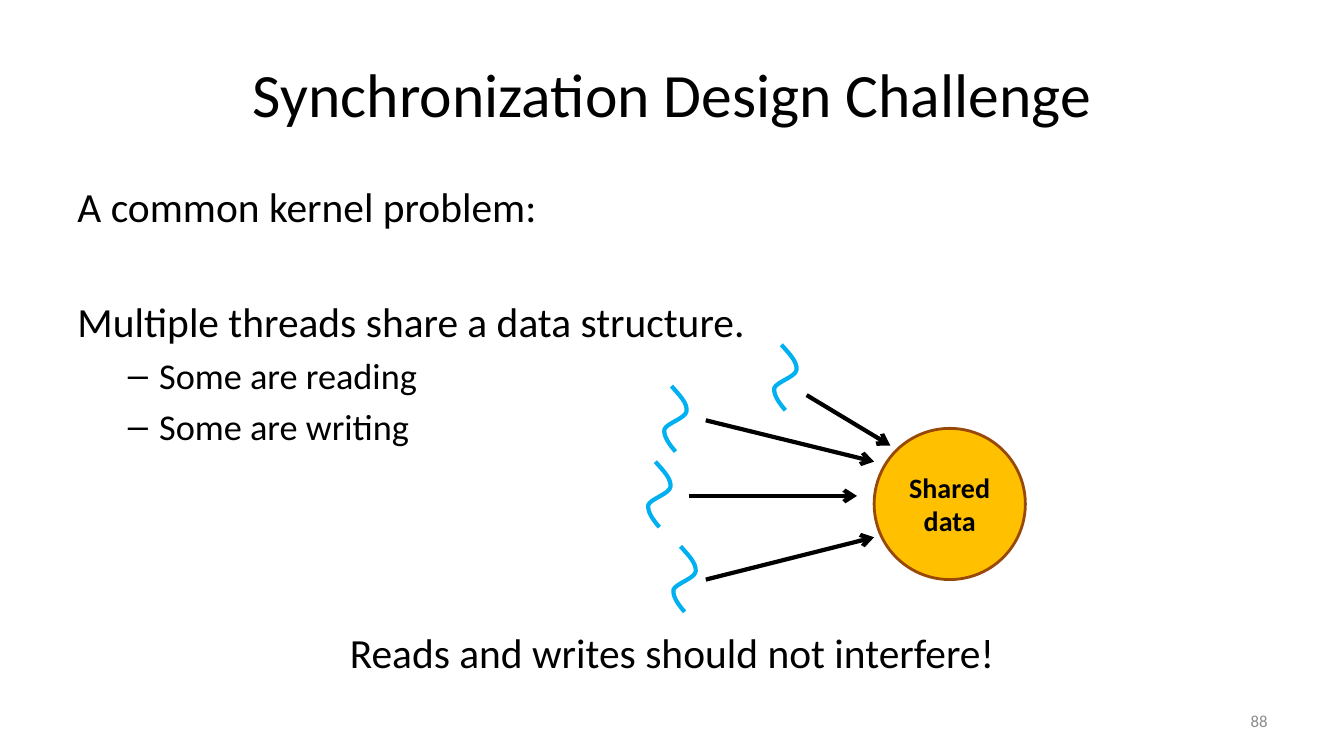
from pptx import Presentation
from pptx import util as u
from pptx.dml.color import RGBColor
from pptx.enum import shapes, text
from pptx.oxml import ns
from lxml import etree

PX = 9144
SQUIGGLE = [(8, 0), (16, 9), (24, 17), (23, 25), (22, 32),
            (3, 37), (1, 43), (0, 50), (6, 58), (12, 65)]
THREADS = [
    ((667, 542), (700, 575), (867, 533)),
    ((642, 458), (683, 492), (850, 492)),
    ((658, 383), (700, 417), (867, 458)),
    ((767, 342), (800, 392), (883, 442)),
]
BODY = [
    ("A common kernel problem:", 29.6, 0, "plain"),
    ("Multiple threads share a data structure.", 29.6, 46.6, "plain"),
    ("Some are reading", 25.9, 5.2, "dash"),
    ("Some are writing", 25.9, 5.2, "dash"),
    ("Reads and writes should not interfere!", 29.6, 128.4, "center"),
]


def px(length):
    """Turn px into EMU."""
    return u.Emu(length * PX)


def color(value):
    """Turn a hex string into a colour."""
    return RGBColor.from_string(value)


def add_run(paragraph, words, size, ink="000000", bold=False):
    """Add one run of styled text."""
    run = paragraph.add_run()
    run.text = words
    run.font.name = "Calibri"
    run.font.size = u.Pt(size)
    run.font.bold = bold
    run.font.color.rgb = color(ink)


def add_frame(slide, box, anchor):
    """Add a wrapping text box and return its frame."""
    frame = slide.shapes.add_textbox(*map(px, box)).text_frame
    frame.word_wrap = True
    frame.vertical_anchor = anchor
    return frame


def add_line_of_text(slide, box, words, size, ink, align):
    """Add a box holding one vertically centred line."""
    paragraph = add_frame(slide, box, text.MSO_ANCHOR.MIDDLE).paragraphs[0]
    paragraph.alignment = align
    add_run(paragraph, words, size, ink)


def add_dash(paragraph):
    """Give a paragraph a hanging dash bullet."""
    properties = paragraph._p.get_or_add_pPr()
    properties.set("marL", str(px(81)))
    properties.set("indent", str(px(-31)))
    properties.set("lvl", "1")
    etree.SubElement(properties, ns.qn("a:buFont")).set("typeface", "Arial")
    etree.SubElement(properties, ns.qn("a:buChar")).set("char", "–")


def add_body(slide, box):
    """Add the problem statement and its conclusion."""
    frame = add_frame(slide, box, text.MSO_ANCHOR.TOP)
    for index, (words, size, gap, style) in enumerate(BODY):
        paragraph = frame.add_paragraph() if index else frame.paragraphs[0]
        paragraph.space_before = u.Pt(gap)
        if style == "center":
            paragraph.alignment = text.PP_ALIGN.CENTER
        if style == "dash":
            add_dash(paragraph)
        add_run(paragraph, words, size)


def add_squiggle(slide, left, top):
    """Add a thread drawn as three joined Bezier curves."""
    points = [(left + x, top + y) for x, y in SQUIGGLE]
    builder = slide.shapes.build_freeform(*points[0], scale=float(PX))
    builder.add_line_segments(points[1:], close=False)
    shape = builder.convert_to_shape()
    shape.shadow.inherit = False
    shape.fill.background()
    shape.line.color.rgb = color("00B0F0")
    shape.line.width = u.Pt(3)
    segments = list(shape._element.iter(ns.qn("a:lnTo")))
    for start in range(0, len(segments), 3):
        first, *others = segments[start:start + 3]
        curve = etree.Element(ns.qn("a:cubicBezTo"))
        first.addprevious(curve)
        for segment in (first, *others):
            curve.append(segment[0])
            segment.getparent().remove(segment)


def add_arrow(slide, start, end):
    """Add a black arrow with an open head."""
    arrow = slide.shapes.add_connector(
        shapes.MSO_CONNECTOR.STRAIGHT, *map(px, start + end))
    arrow.line.color.rgb = color("000000")
    arrow.line.width = u.Pt(3)
    head = etree.SubElement(arrow.line._get_or_add_ln(), ns.qn("a:tailEnd"))
    head.set("type", "arrow")
    etree.SubElement(arrow._element.spPr, ns.qn("a:effectLst"))


def add_shared_data(slide, box):
    """Add the labelled circle."""
    circle = slide.shapes.add_shape(shapes.MSO_SHAPE.OVAL, *map(px, box))
    circle.shadow.inherit = False
    circle.fill.solid()
    circle.fill.fore_color.rgb = color("FFC000")
    circle.line.color.rgb = color("984807")
    circle.line.width = u.Pt(2)
    frame = circle.text_frame
    frame.word_wrap = False
    frame.vertical_anchor = text.MSO_ANCHOR.MIDDLE
    for paragraph, words in ((frame.paragraphs[0], "Shared"),
                             (frame.add_paragraph(), "data")):
        paragraph.alignment = text.PP_ALIGN.CENTER
        add_run(paragraph, words, 20, bold=True)


def add_diagram(slide, box):
    """Add threads pointing at the shared data."""
    left, top, width, height = box
    size = 150
    add_shared_data(slide, (left + width - size, top + 83, size, size))
    for squiggle, start, end in THREADS:
        add_squiggle(slide, *squiggle)
        add_arrow(slide, start, end)


def main():
    """Build and save the slide."""
    presentation = Presentation()
    presentation.slide_width, presentation.slide_height = px(1333), px(750)
    slide = presentation.slides.add_slide(presentation.slide_layouts[6])
    add_line_of_text(slide, (67, 30, 1200, 125), "Synchronization Design Challenge",
                     44, "000000", text.PP_ALIGN.CENTER)
    add_body(slide, (67, 175, 1200, 495))
    add_line_of_text(slide, (956, 695, 311, 40), "88", 12, "8C8C8C",
                     text.PP_ALIGN.RIGHT)
    add_diagram(slide, (642, 342, 375, 265))
    presentation.save("out.pptx")


if __name__ == "__main__":
    main()
